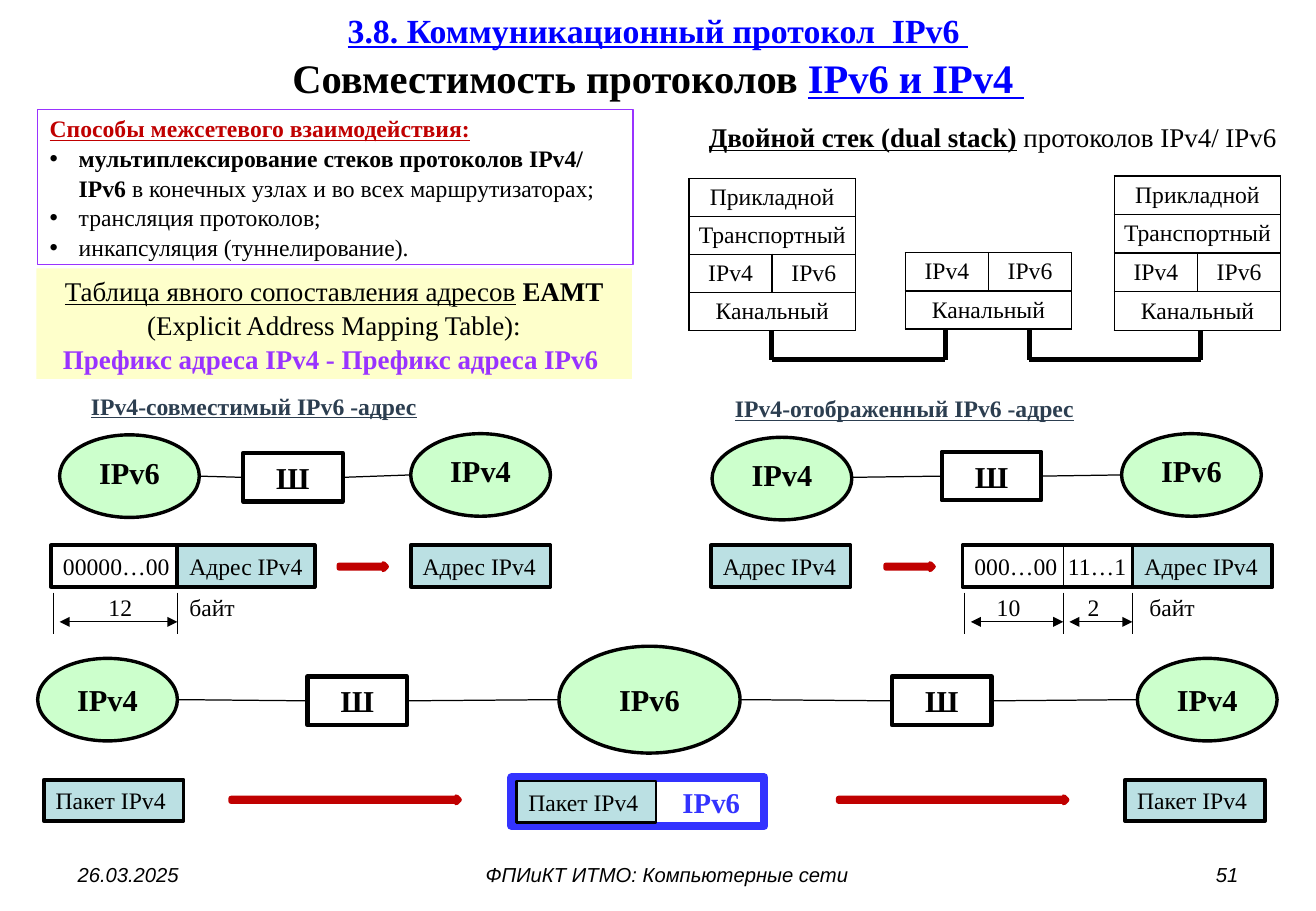
from dataclasses import dataclass

from lxml import etree
from pptx import Presentation
from pptx.dml.color import RGBColor
from pptx.enum.shapes import MSO_CONNECTOR, MSO_SHAPE
from pptx.enum.text import MSO_ANCHOR, MSO_AUTO_SIZE, PP_ALIGN
from pptx.oxml.ns import qn
from pptx.util import Inches, Pt

RECTANGLE, ELLIPSE, ARROW = MSO_SHAPE.RECTANGLE, MSO_SHAPE.OVAL, MSO_SHAPE.RIGHT_ARROW
STRAIGHT = MSO_CONNECTOR.STRAIGHT
LEFT, CENTER, RIGHT = PP_ALIGN.LEFT, PP_ALIGN.CENTER, PP_ALIGN.RIGHT
MIDDLE, NO_RESIZE = MSO_ANCHOR.MIDDLE, MSO_AUTO_SIZE.NONE


@dataclass(frozen=True)
class Theme:
    serif: str = "Times New Roman"
    sans: str = "Arial"
    black: str = "000000"
    link: str = "0000FF"
    violet: str = "9933FF"
    red: str = "C00000"
    node: str = "CCFFCC"
    packet: str = "BBE0E3"
    frame: str = "3333FF"
    note: str = "FEFFCB"
    heading: str = "2C3E50"
    headline: float = 24
    section: float = 20
    node_size: float = 18
    frame_size: float = 17
    lead: float = 16
    body: float = 14
    footer: float = 12
    spacing: float = 1.05


THEME = Theme()


class SlideBuilder:
    def __init__(self, slide, theme):
        self.slide, self.theme = slide, theme

    def style_run(self, run, size, flags="", color=None, font=None):
        """Flags: b = bold, i = italic, u = underlined."""
        run.font.name = font or self.theme.serif
        run.font.size = Pt(size)
        run.font.bold, run.font.italic = "b" in flags, "i" in flags
        run.font.underline = "u" in flags
        run.font.color.rgb = RGBColor.from_string(color or self.theme.black)

    def fill_text(self, shape, paragraphs, align=LEFT, insets=(0.1, 0.05, 0, 0.05), spacing=None):
        """Each paragraph is a list of (text, size, flags, colour, font) runs."""
        frame = shape.text_frame
        frame.word_wrap, frame.auto_size = True, NO_RESIZE
        frame.vertical_anchor = MIDDLE
        frame.margin_left, frame.margin_top, frame.margin_right, frame.margin_bottom = map(Inches, insets)
        for index, runs in enumerate(paragraphs):
            paragraph = frame.paragraphs[0] if index == 0 else frame.add_paragraph()
            paragraph.alignment = align
            if spacing:
                paragraph.line_spacing = spacing
            for text, *style in runs:
                run = paragraph.add_run()
                run.text = text
                self.style_run(run, *style)
        return frame

    def title(self, box, paragraphs):
        shape = self.slide.shapes.title
        shape.left, shape.top, shape.width, shape.height = map(Inches, box)
        self.fill_text(shape, paragraphs, CENTER, (0.1, 0.05, 0.1, 0.05), self.theme.spacing)

    def shape(self, kind, box, fill=None, line=None, weight=0):
        shape = self.slide.shapes.add_shape(kind, *map(Inches, box))
        shape.shadow.inherit = False
        if fill:
            shape.fill.solid()
            shape.fill.fore_color.rgb = RGBColor.from_string(fill)
        else:
            shape.fill.background()
        if line:
            shape.line.color.rgb = RGBColor.from_string(line)
            shape.line.width = Pt(weight)
        else:
            shape.line.fill.background()
        return shape

    def text(self, box, text, size, flags="", color=None, align=LEFT, font=None):
        shape = self.slide.shapes.add_textbox(*map(Inches, box))
        right = 0 if align == LEFT else 0.1
        self.fill_text(shape, [[(text, size, flags, color, font)]], align, (0.1, 0.05, right, 0.05))

    def node(self, box, label, lift=0.0):
        shape = self.shape(ELLIPSE, box, self.theme.node, self.theme.black, 2)
        self.fill_text(shape, [[(label, self.theme.node_size, "b")]], CENTER, (0, 0, 0, lift))

    def gateway(self, left, top):
        shape = self.shape(RECTANGLE, (left, top, 0.82, 0.4), None, self.theme.black, 2.5)
        self.fill_text(shape, [[("Ш", self.theme.node_size, "b")]], CENTER, (0.1, 0.05, 0.1, 0.05))

    def field(self, left, top, label, width=1.15, filled=True, weight=2.25):
        fill = self.theme.packet if filled else None
        shape = self.shape(RECTANGLE, (left, top, width, 0.34), fill, self.theme.black, weight)
        self.fill_text(shape, [[(label, self.theme.body)]])

    def arrow(self, left, top, width):
        self.shape(ARROW, (left, top, width, 0.05), self.theme.packet, self.theme.red, 3)

    def line(self, start, end, weight=0.75, arrows=False):
        connector = self.slide.shapes.add_connector(STRAIGHT, *map(Inches, (*start, *end)))
        connector.line.color.rgb = RGBColor.from_string(self.theme.black)
        connector.line.width = Pt(weight)
        if arrows:
            line = connector.line._get_or_add_ln()
            for tag in ("a:headEnd", "a:tailEnd"):
                etree.SubElement(line, qn(tag), type="triangle")
        etree.SubElement(connector._element.spPr, qn("a:effectLst"))

    def stack(self, left, top, height, layers):
        """Protocol stack: a layer of one name spans both columns."""
        box = map(Inches, (left, top, 1.37, height))
        table = self.slide.shapes.add_table(len(layers), 2, *box).table
        table.first_row = table.horz_banding = False
        for row, names in enumerate(layers):
            if len(names) == 1:
                table.cell(row, 0).merge(table.cell(row, 1))
            for column, name in enumerate(names):
                cell = table.cell(row, column)
                cell.text_frame.text = name
                paragraph = cell.text_frame.paragraphs[0]
                paragraph.alignment = CENTER
                self.style_run(paragraph.runs[0], self.theme.body)
        for cell in table.iter_cells():
            cell.margin_left = cell.margin_right = cell.margin_top = cell.margin_bottom = Inches(0.04)
            cell.vertical_anchor = MIDDLE
            cell.fill.background()
            properties = cell._tc.get_or_add_tcPr()
            for index, side in enumerate(("a:lnL", "a:lnR", "a:lnT", "a:lnB")):
                border = etree.Element(qn(side), w=str(Pt(1)))
                fill = etree.SubElement(border, qn("a:solidFill"))
                etree.SubElement(fill, qn("a:srgbClr"), val=self.theme.black)
                properties.insert(index, border)


def add_bullet(paragraph):
    properties = paragraph._p.get_or_add_pPr()
    properties.set("marL", str(Inches(0.24)))
    properties.set("indent", str(-Inches(0.24)))
    etree.SubElement(properties, qn("a:buFont"), typeface=THEME.sans)
    etree.SubElement(properties, qn("a:buChar"), char="•")


def build_overview(page):
    # Title
    page.title((0.54, 0.01, 9.75, 0.88), [
        [("3.8. Коммуникационный протокол  IPv6 ", THEME.section, "bu", THEME.link)],
        [("Совместимость протоколов ", THEME.headline, "b"),
         ("IPv6 и IPv4 ", THEME.headline, "bu", THEME.link)]])

    # Interworking methods
    methods = page.shape(RECTANGLE, (0.31, 0.9, 4.9, 1.28), None, THEME.violet, 0.75)
    frame = page.fill_text(methods, [
        [("Способы межсетевого взаимодействия:", THEME.body, "bu", THEME.red)],
        [("мультиплексирование стеков протоколов IPv4/ IPv6 ", THEME.body, "b"),
         ("в конечных узлах и во всех маршрутизаторах;", THEME.body)],
        [("трансляция протоколов;", THEME.body)],
        [("инкапсуляция (туннелирование).", THEME.body)]], spacing=THEME.spacing)
    for paragraph in frame.paragraphs[1:]:
        add_bullet(paragraph)

    # Address mapping table note
    note = page.shape(RECTANGLE, (0.3, 2.21, 4.9, 0.91), THEME.note)
    page.fill_text(note, [
        [("Таблица явного сопоставления адресов", THEME.lead, "u"), (" ", THEME.lead),
         ("EAMT", THEME.lead, "b"), (" (Explicit Address Mapping Table):", THEME.lead)],
        [("Префикс адреса IPv4 - Префикс адреса IPv6 ", THEME.lead, "b", THEME.violet)]],
        CENTER, (0.1, 0.05, 0.1, 0.05), THEME.spacing)

    # Dual stack
    caption = page.shape(RECTANGLE, (5.61, 0.94, 5.02, 0.37))
    page.fill_text(caption, [[("Двойной стек (dual stack)", THEME.lead, "bu"),
                              (" протоколов IPv4/ IPv6", THEME.lead)]], CENTER)
    layers = [["Прикладной"], ["Транспортный"], ["IPv4", "IPv6"], ["Канальный"]]
    page.stack(5.67, 1.47, 1.25, layers)
    page.stack(9.17, 1.45, 1.27, layers)
    page.stack(7.45, 2.08, 0.63, layers[2:])
    for left, right in ((6.35, 7.78), (8.47, 9.88)):
        for x in (left, right):
            page.line((x, 2.72), (x, 2.96), 3)
        page.line((left, 2.96), (right, 2.96), 3)


def build_address_schemes(page):
    # Headings, nodes and gateways
    for left, top, kind in ((0.65, 3.17, "совместимый"), (5.95, 3.19, "отображенный")):
        page.text((left, top, 3.32, 0.34), f"IPv4-{kind} IPv6 -адрес", THEME.body, "bu", THEME.heading)
    for left, top, label in ((0.49, 3.58, "IPv6"), (3.38, 3.57, "IPv4"),
                             (5.86, 3.6, "IPv4"), (9.23, 3.57, "IPv6")):
        page.node((left, top, 1.15, 0.68), label, lift=0.07)
    for left, top in ((2, 3.73), (7.75, 3.72)):
        page.gateway(left, top)
    for start, end in (((1.63, 3.92), (2, 3.93)), ((2.82, 3.93), (3.38, 3.91)),
                       ((7, 3.93), (7.75, 3.92)), ((8.57, 3.92), (9.23, 3.91))):
        page.line(start, end)

    # Address fields
    page.field(0.42, 4.49, "00000…00", 2.17, filled=False)
    page.field(7.92, 4.49, "000…00", 2.55, filled=False)
    page.text((8.69, 4.49, 0.63, 0.34), "11…1", THEME.body)
    page.line((8.75, 4.49), (8.75, 4.83))
    for left, width in ((1.46, 1.13), (3.38, 1.15), (5.85, 1.15), (9.32, 1.15)):
        page.field(left, 4.49, "Адрес IPv4", width)
    for left in (2.79, 7.29):
        page.arrow(left, 4.64, 0.39)

    # Field lengths in bytes
    for x in (0.44, 1.46, 7.94, 8.75, 9.32):
        page.line((x, 4.88), (x, 5.22))
    for left, right, center, length in ((0.49, 1.46, 0.99, "12"), (7.99, 8.75, 8.3, "10"),
                                        (8.8, 9.32, 9, "2")):
        page.line((left, 5.12), (right, 5.12), arrows=True)
        page.text((center - 0.25, 4.83, 0.5, 0.34), length, THEME.body, align=CENTER)
    for left in (1.46, 9.36):
        page.text((left, 4.83, 0.77, 0.34), "байт", THEME.body)


def build_tunnel(page):
    # Networks joined through gateways
    for box, label in (((0.31, 5.42, 1.15, 0.68), "IPv4"), ((4.6, 5.32, 1.49, 0.88), "IPv6"),
                       ((9.36, 5.42, 1.15, 0.68), "IPv4")):
        page.node(box, label)
    for left in (2.53, 7.34):
        page.gateway(left, 5.57)
    for left, right in ((1.47, 2.53), (6.09, 7.34)):
        page.line((left, 5.76), (right, 5.77))
    for left, right in ((3.34, 4.6), (8.16, 9.36)):
        page.line((left, 5.77), (right, 5.76))

    # Packet encapsulation
    frame = page.shape(RECTANGLE, (4.21, 6.4, 2.08, 0.4), None, THEME.frame, 5)
    page.fill_text(frame, [[("IPv6", THEME.frame_size, "b", THEME.frame)]], RIGHT, (0.1, 0.05, 0.2, 0.05))
    for left, top, weight in ((0.36, 6.42, 2.25), (4.25, 6.43, 1.5), (9.26, 6.42, 2.25)):
        page.field(left, top, "Пакет IPv4", weight=weight)
    for left in (1.9, 6.9):
        page.arrow(left, 6.56, 1.88)

    # Footer
    for left, width, text, align in ((0.54, 2.53, "26.03.2025", LEFT),
                                     (3.35, 4.28, "ФПИиКТ ИТМО: Компьютерные сети", CENTER),
                                     (7.76, 2.53, "51", RIGHT)):
        page.text((left, 7.05, width, 0.3), text, THEME.footer, "i", align=align, font=THEME.sans)


def main():
    presentation = Presentation()
    presentation.slide_width, presentation.slide_height = Inches(10.83), Inches(7.5)
    page = SlideBuilder(presentation.slides.add_slide(presentation.slide_layouts[5]), THEME)
    build_overview(page)
    build_address_schemes(page)
    build_tunnel(page)
    presentation.save("out.pptx")


if __name__ == "__main__":
    main()
